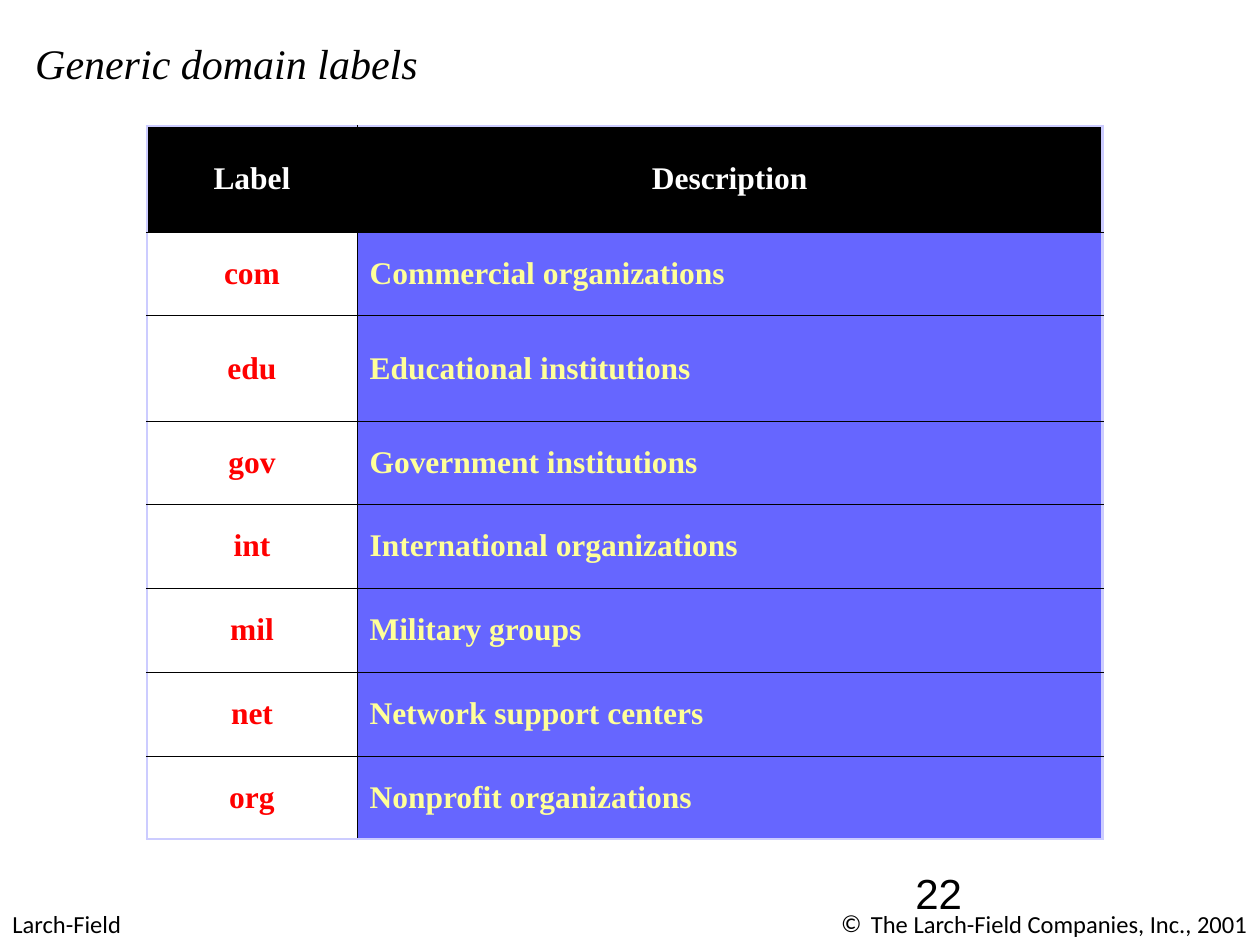
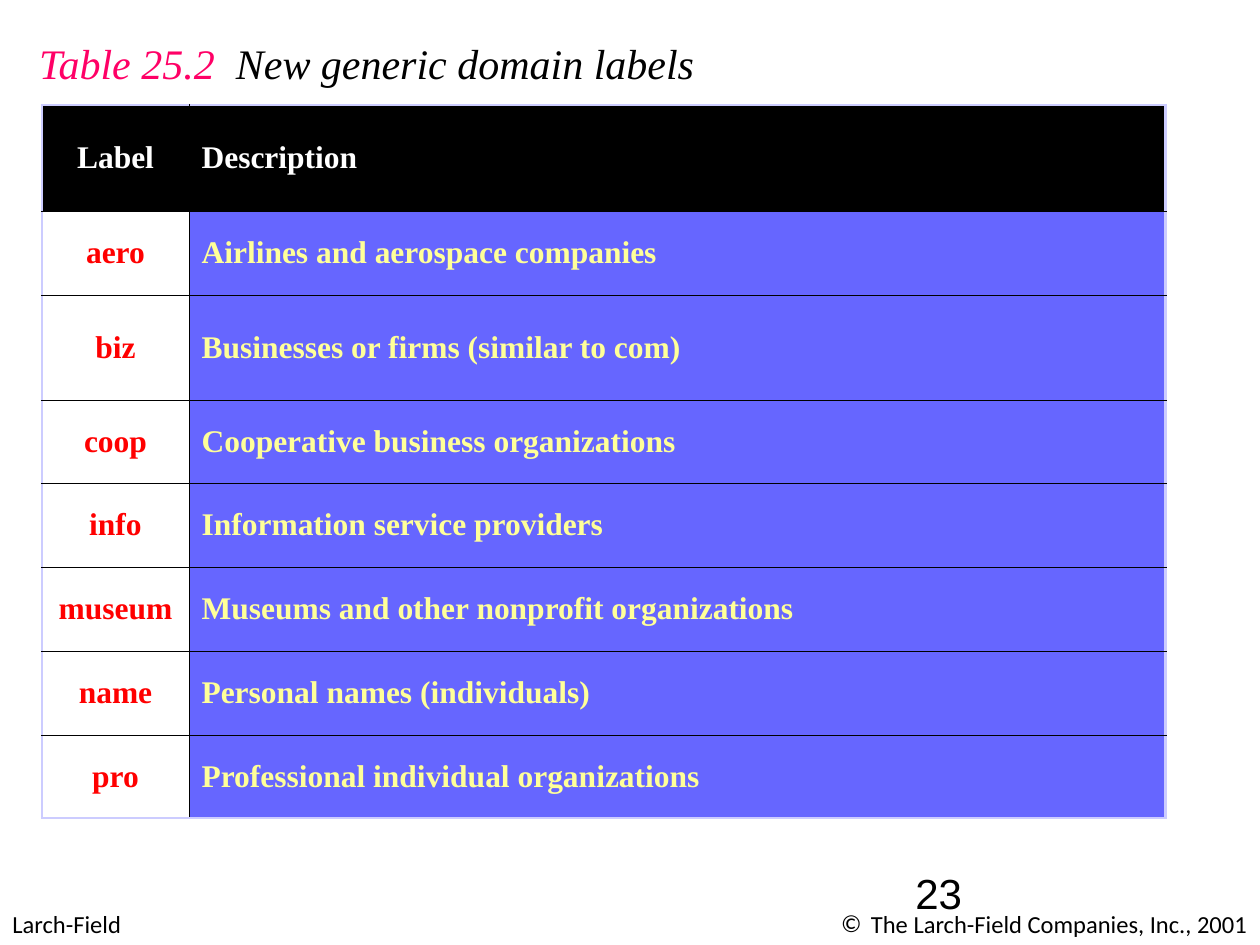
from lxml.etree import SubElement
from pptx import Presentation
from pptx.dml.color import RGBColor
from pptx.enum.text import MSO_ANCHOR as Anchor, MSO_AUTO_SIZE as AutoSize, PP_ALIGN as Align
from pptx.oxml.ns import qn
from pptx.util import Pt

BLACK = RGBColor(0x00, 0x00, 0x00)
WHITE = RGBColor(0xFF, 0xFF, 0xFF)
RED = RGBColor(0xFF, 0x00, 0x00)
PINK = RGBColor(0xFF, 0x00, 0x66)
BLUE = RGBColor(0x66, 0x66, 0xFF)
YELLOW = RGBColor(0xFF, 0xFF, 0x99)
LAVENDER = RGBColor(0xCC, 0xCC, 0xFF)

TITLE = dict(name="Times New Roman", size=Pt(24), italic=True)
FOOTER = dict(name="Calibri", size=Pt(14))
NUMBER = dict(name="Arial", size=Pt(24))
CELL = dict(name="Times New Roman", size=Pt(18), bold=True)
OUTER = (LAVENDER, 1.47)
INNER = (BLACK, 0.45)

ROW_HEIGHTS = (60.5, 48, 60.5, 47, 48, 48, 48, 47.5)
GENERIC = (
    ("Label", "Description"),
    ("com", "Commercial organizations"),
    ("edu", "Educational institutions"),
    ("gov", "Government institutions"),
    ("int", "International organizations"),
    ("mil", "Military groups"),
    ("net", "Network support centers"),
    ("org", "Nonprofit organizations"),
)
NEW_GENERIC = (
    ("Label", "Description"),
    ("aero", "Airlines and aerospace companies"),
    ("biz", "Businesses or firms (similar to com)"),
    ("coop", "Cooperative business organizations"),
    ("info", "Information service providers"),
    ("museum", "Museums and other nonprofit organizations"),
    ("name", "Personal names (individuals)"),
    ("pro", "Professional individual organizations"),
)


def add_run(p, text, fmt, color=BLACK):
    r = p.add_run()
    r.text = text
    for key, value in fmt.items():
        setattr(r.font, key, value)
    r.font.color.rgb = color


def add_text(s, box, runs, fmt, wrap=True, auto_size=AutoSize.SHAPE_TO_FIT_TEXT):
    """Add a one-paragraph text box from (text, color) runs; return the paragraph."""
    tf = s.shapes.add_textbox(*map(Pt, box)).text_frame
    tf.word_wrap = wrap
    tf.auto_size = auto_size
    p = tf.paragraphs[0]
    for text, color in runs:
        add_run(p, text, fmt, color)
    return p


def add_title(s, left, width, runs):
    p = add_text(s, (left, 18, width, 36), runs, TITLE, wrap=False)
    if len(runs) > 1:
        tabs = SubElement(p._p.get_or_add_pPr(), qn("a:tabLst"))
        SubElement(tabs, qn("a:tab"), pos=str(Pt(112.5)), algn="l")


def add_footer(s, number):
    p = add_text(s, (0, 516, 174, 24.5), [("Larch-Field", BLACK)], FOOTER)
    p.space_before = Pt(8.8)
    p = add_text(s, (360, 516, 360, 24.5),
                 [("The Larch-Field Companies, Inc., 2001", BLACK)], FOOTER)
    p.space_before = Pt(8.8)
    p.alignment = Align.RIGHT
    pPr = p._p.get_or_add_pPr()
    pPr.set("marL", str(Pt(17)))
    pPr.set("indent", str(-Pt(17)))
    SubElement(pPr, qn("a:buFont"), typeface="Calibri")
    SubElement(pPr, qn("a:buChar"), char="©")
    add_text(s, (516, 492, 150, 36), [(str(number), BLACK)], NUMBER,
             auto_size=AutoSize.NONE)


def add_border(cell, side, color, width):
    ln = SubElement(cell._tc.get_or_add_tcPr(), qn(f"a:ln{side}"), w=str(Pt(width)))
    fill = SubElement(ln, qn("a:solidFill"))
    SubElement(fill, qn("a:srgbClr"), val=str(color))


def add_label_table(s, left, top, widths, rows, header_align):
    table = s.shapes.add_table(len(rows), len(widths), Pt(left), Pt(top),
                               Pt(sum(widths)), Pt(sum(ROW_HEIGHTS))).table
    table.first_row = table.horz_banding = False
    for column, width in zip(table.columns, widths):
        column.width = Pt(width)
    for i, texts in enumerate(rows):
        table.rows[i].height = Pt(ROW_HEIGHTS[i])
        for j, text in enumerate(texts):
            cell = table.cell(i, j)
            edges = dict(L=j == 0, R=j == len(widths) - 1,
                         T=i == 0, B=i == len(rows) - 1)
            for side, is_outer in edges.items():
                add_border(cell, side, *(OUTER if is_outer else INNER))
            if i == 0:
                back, color = BLACK, WHITE
            else:
                back, color = ((WHITE, RED), (BLUE, YELLOW))[j]
            cell.fill.solid()
            cell.fill.fore_color.rgb = back
            cell.vertical_anchor = Anchor.MIDDLE
            p = cell.text_frame.paragraphs[0]
            p.space_before = Pt(4.5)
            if j == 0:
                p.alignment = Align.CENTER
            else:
                p.alignment = header_align if i == 0 else Align.LEFT
            add_run(p, text, CELL, color)


def main():
    prs = Presentation()
    prs.slide_width, prs.slide_height = Pt(720), Pt(540)
    blank = prs.slide_layouts[6]

    s = prs.slides.add_slide(blank)
    add_title(s, 13, 239, [("Generic domain labels", BLACK)])
    add_label_table(s, 84, 72, (120, 426), GENERIC, Align.CENTER)
    add_footer(s, 22)

    s = prs.slides.add_slide(blank)
    add_title(s, 15.25, 396.75,
              [("Table 25.2\t", PINK), ("New generic domain labels", BLACK)])
    add_label_table(s, 24, 60, (84, 558), NEW_GENERIC, Align.LEFT)
    add_footer(s, 23)

    prs.save("out.pptx")


if __name__ == "__main__":
    main()
